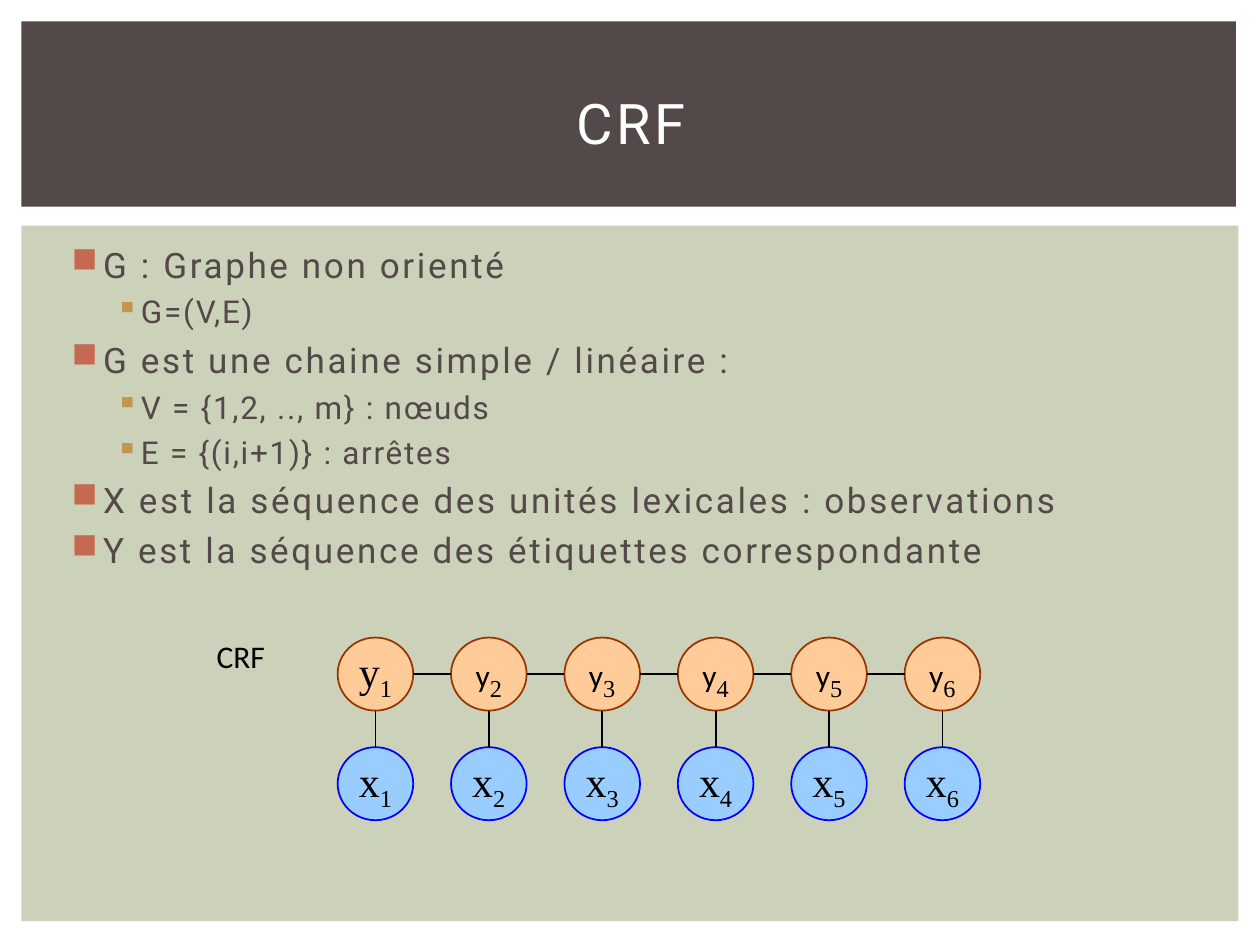
from lxml.etree import SubElement
from pptx import Presentation
from pptx.dml.color import RGBColor
from pptx.enum.shapes import MSO_CONNECTOR, MSO_SHAPE
from pptx.enum.text import MSO_ANCHOR, MSO_AUTO_SIZE, PP_ALIGN
from pptx.oxml.ns import qn
from pptx.util import Pt

PX = 9144  # 100 px to the inch


class Theme:
    font, label_font, node_font = "Roboto", "Calibri", "Times New Roman"
    dark, panel, white, black = "534949", "CCD1B9", "FFFFFF", "000000"
    title_size, label_size, node_size = 32, 18, 24
    # per level: size, letter spacing, bullet, bullet colour, margin, indent, space before
    levels = [
        (20, 150, "■", "C66951", 30, -25, 4.6),
        (18, 100, "▪", "BF974D", 60, -20, 4.2),
    ]
    label_node = ("FFCC99", "993300")
    word_node = ("99CCFF", "0000FF")


def add_run(paragraph, text, size, font, color, **attributes):
    run = paragraph.add_run()
    run.text = text
    run.font.size = Pt(size)
    run.font.name = font
    run.font.color.rgb = RGBColor.from_string(color)
    for name, value in attributes.items():
        run.font._element.set(name, str(value))


def add_filled(shapes, kind, box, fill, line=None):
    shape = shapes.add_shape(kind, *(value * PX for value in box))
    shape.shadow.inherit = False
    shape.fill.solid()
    shape.fill.fore_color.rgb = RGBColor.from_string(fill)
    if line:
        shape.line.color.rgb = RGBColor.from_string(line)
        shape.line.width = Pt(1)
    else:
        shape.line.fill.background()
    return shape


presentation = Presentation()
presentation.slide_width, presentation.slide_height = 1000 * PX, 750 * PX
slide = presentation.slides.add_slide(presentation.slide_layouts[5])

# Background bands
add_filled(slide.shapes, MSO_SHAPE.RECTANGLE, (17, 179, 966, 552), Theme.panel)
add_filled(slide.shapes, MSO_SHAPE.RECTANGLE, (17, 17, 964, 147), Theme.dark)

# Title, raised above the bands
title = slide.shapes.title
title.left, title.top, title.width, title.height = 42 * PX, 39 * PX, 917 * PX, 115 * PX
title.text_frame.vertical_anchor = MSO_ANCHOR.MIDDLE
paragraph = title.text_frame.paragraphs[0]
paragraph.alignment = PP_ALIGN.CENTER
add_run(paragraph, "CRF", Theme.title_size, Theme.font, Theme.white, spc=200)
slide.shapes._spTree.append(title._element)

# Bulleted definitions
definitions = [
    (0, "G : Graphe non orienté"),
    (1, "G=(V,E)"),
    (0, "G est une chaine simple / linéaire :"),
    (1, "V = {1,2, .., m} : nœuds"),
    (1, "E = {(i,i+1)} : arrêtes"),
    (0, "X est la séquence des unités lexicales : observations"),
    (0, "Y est la séquence des étiquettes correspondante"),
]
body = slide.shapes.add_textbox(42 * PX, 188 * PX, 919 * PX, 482 * PX).text_frame
body.word_wrap = True
for index, (level, text) in enumerate(definitions):
    size, spacing, bullet, bullet_color, margin, indent, before = Theme.levels[level]
    paragraph = body.add_paragraph() if index else body.paragraphs[0]
    paragraph.level = level
    paragraph.space_before = Pt(before)
    properties = paragraph._p.get_or_add_pPr()
    properties.set("marL", str(margin * PX))
    properties.set("indent", str(indent * PX))
    SubElement(SubElement(properties, qn("a:buClr")), qn("a:srgbClr")).set("val", bullet_color)
    SubElement(properties, qn("a:buChar")).set("char", bullet)
    add_run(paragraph, text, size, Theme.font, Theme.dark, spc=spacing)

# Graph label
label = slide.shapes.add_textbox(162 * PX, 501 * PX, 72 * PX, 40 * PX).text_frame
label.word_wrap = False
label.auto_size = MSO_AUTO_SIZE.SHAPE_TO_FIT_TEXT
add_run(label.paragraphs[0], "CRF", Theme.label_size, Theme.label_font, Theme.black)

# Chain nodes: labels y above words x
node_count, pitch = 6, 90
node_left, node_width, node_height = 268, 60, 58
label_top, word_top = 506, 593
graph = slide.shapes.add_group_shape()
for index in range(node_count):
    left = node_left + index * pitch
    for letter, top, colors in (("y", label_top, Theme.label_node), ("x", word_top, Theme.word_node)):
        node = add_filled(graph.shapes, MSO_SHAPE.OVAL, (left, top, node_width, node_height), *colors)
        frame = node.text_frame
        frame.word_wrap = False
        frame.vertical_anchor = MSO_ANCHOR.MIDDLE
        paragraph = frame.paragraphs[0]
        paragraph.alignment = PP_ALIGN.CENTER
        if letter == "y" and index > 0:
            add_run(paragraph, letter, Theme.label_size, Theme.label_font, Theme.black)
        else:
            add_run(paragraph, letter, Theme.node_size, Theme.node_font, Theme.black)
        add_run(paragraph, str(index + 1), Theme.node_size, Theme.node_font, Theme.black, baseline=-25000)

# Edges: one down from each label, one to the next label
middle = label_top + node_height // 2
edges = []
for index in range(node_count):
    center = node_left + index * pitch + node_width // 2
    edges.append((center, label_top + node_height, center, word_top))
    if index < node_count - 1:
        edges.append((center + node_width // 2, middle, center + pitch - node_width // 2, middle))
for edge in edges:
    connector = graph.shapes.add_connector(MSO_CONNECTOR.STRAIGHT, *(value * PX for value in edge))
    connector.line.color.rgb = RGBColor.from_string(Theme.black)
    connector.line.width = Pt(1)
    SubElement(connector._element.spPr, qn("a:effectLst"))

presentation.save("out.pptx")
